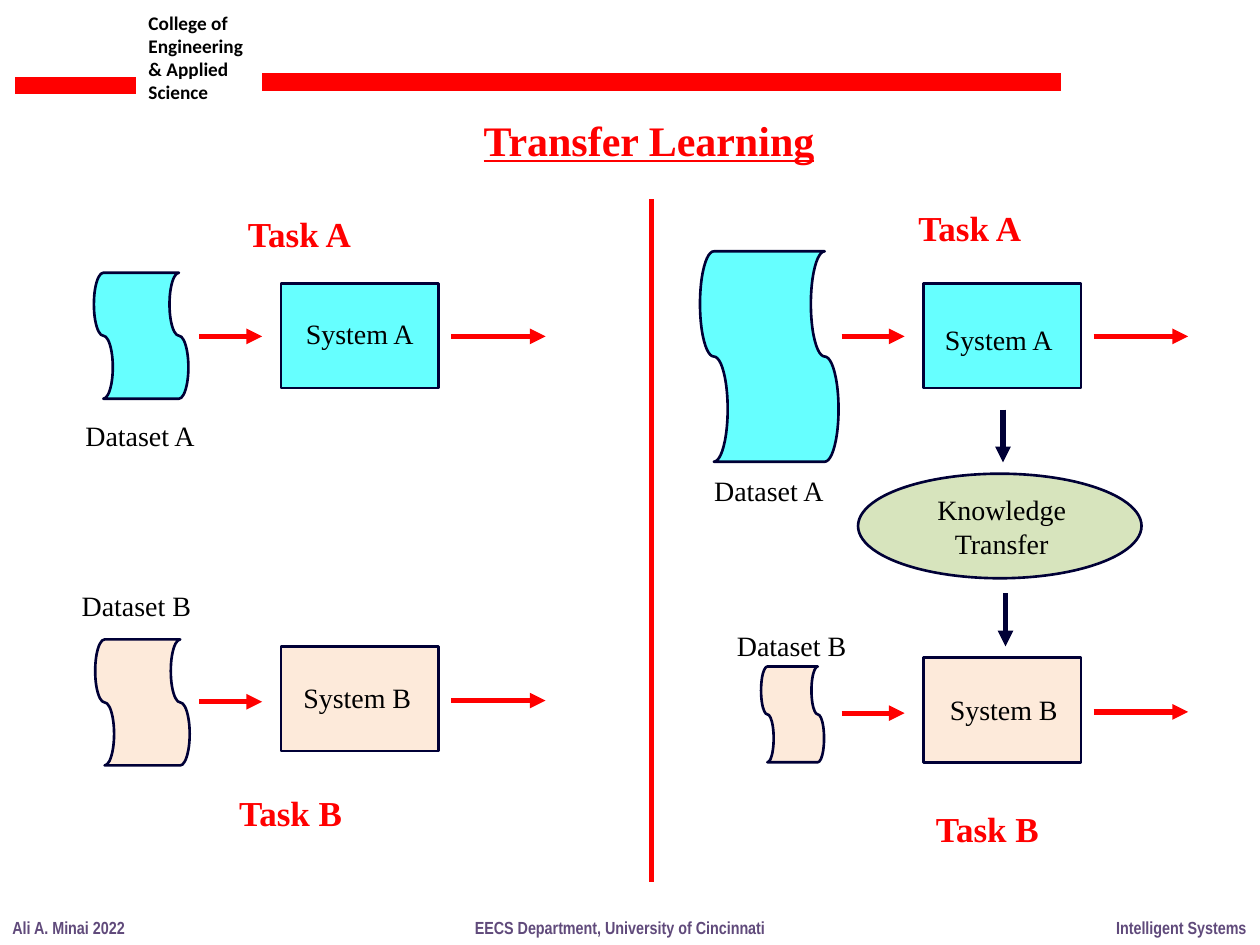
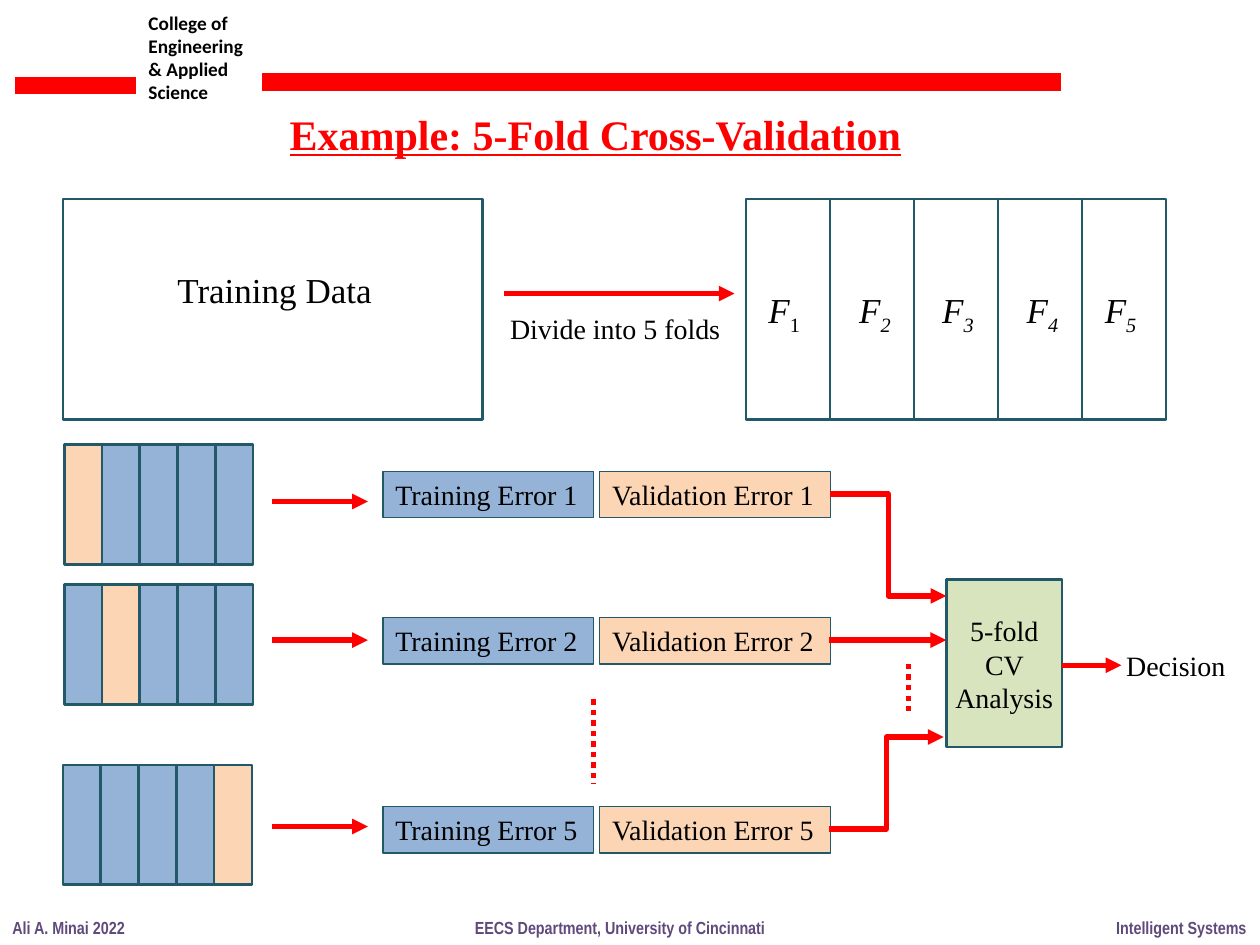
from lxml.etree import SubElement
from pptx import Presentation
from pptx.dml.color import RGBColor
from pptx.enum.dml import MSO_LINE
from pptx.enum.shapes import MSO_CONNECTOR as Link, MSO_SHAPE as Kind
from pptx.enum.text import MSO_ANCHOR as Anchor, MSO_AUTO_SIZE as Fit, PP_ALIGN as Align
from pptx.oxml.ns import qn
from pptx.util import Inches, Pt

RED = RGBColor(0xFF, 0x00, 0x00)
BLACK = RGBColor(0x00, 0x00, 0x00)
PURPLE = RGBColor(0x60, 0x4A, 0x7B)
NAVY = RGBColor(0x00, 0x00, 0x36)
TEAL = RGBColor(0x21, 0x59, 0x68)
CYAN = RGBColor(0x66, 0xFF, 0xFF)
CREAM = RGBColor(0xFD, 0xEA, 0xDA)
GREEN = RGBColor(0xD7, 0xE4, 0xBD)
BLUE = RGBColor(0x95, 0xB3, 0xD7)
PEACH = RGBColor(0xFC, 0xD5, 0xB5)

SERIF = "Times New Roman"
TITLE = (RED, {"name": SERIF, "size": Pt(24), "bold": True, "underline": True})
TASK = (RED, {"name": SERIF, "size": Pt(20), "bold": True})
LABEL = (BLACK, {"name": SERIF, "size": Pt(16)})
LARGE = (BLACK, {"name": SERIF, "size": Pt(20)})
FOLD = (BLACK, {"name": SERIF, "size": Pt(20), "italic": True})
COLLEGE = (BLACK, {"name": "Calibri", "size": Pt(11), "bold": True})
FOOTER = (PURPLE, {"name": "Arial Narrow", "size": Pt(10), "bold": True})


def add_block(shapes, box, text="", style=LABEL, kind=None, fill=None, outline=TEAL,
              weight=1.5, wrap=False, align=Align.LEFT):
    place = [Inches(value) for value in box]
    if kind is None:
        block = shapes.add_textbox(*place)
    else:
        block = shapes.add_shape(kind, *place)
        block.shadow.inherit = False
        block.line.color.rgb = outline
        block.line.width = Pt(weight)
        if fill is None:
            block.fill.background()
        else:
            block.fill.solid()
            block.fill.fore_color.rgb = fill
    if text:
        frame = block.text_frame
        frame.word_wrap = wrap
        frame.auto_size = Fit.SHAPE_TO_FIT_TEXT
        frame.vertical_anchor = Anchor.TOP
        frame.text = text
        color, font_values = style
        for paragraph in frame.paragraphs:
            paragraph.alignment = align
            for run in paragraph.runs:
                run.font.color.rgb = color
                for attribute, value in font_values.items():
                    setattr(run.font, attribute, value)
    return block


def add_line(shapes, start, end, color=RED, weight=3, route=Link.STRAIGHT,
             arrow=True, dash=None):
    line = shapes.add_connector(route, *[Inches(value) for value in start + end])
    line.line.color.rgb = color
    line.line.width = Pt(weight)
    if dash:
        line.line.dash_style = dash
    properties = line._element.spPr
    if arrow:
        SubElement(properties.find(qn("a:ln")), qn("a:tailEnd"), type="triangle")
    SubElement(properties, qn("a:effectLst"))


deck = Presentation()
deck.slide_width, deck.slide_height = Inches(10), Inches(7.5)

titles = [
    ("Transfer Learning", (3.74, 0.86, 2.85, 0.5)),
    ("Example: 5-Fold Cross-Validation", (2.2, 0.81, 5.1, 0.5)),
]
footers = [
    ("Ali A. Minai 2022", 0, 1.1),
    ("Intelligent Systems", 8.76, 1.24),
    ("EECS Department, University of Cincinnati", 3.67, 2.52),
]
pages = []
for title, title_box in titles:
    page = deck.slides.add_slide(deck.slide_layouts[6]).shapes
    add_block(page, (1.08, 0.04, 1.09, 0.84), "College of Engineering & Applied\nScience",
              COLLEGE, wrap=True)
    for left, right, y in [(0.12, 1.08, 0.68), (2.08, 8.42, 0.65)]:
        add_line(page, (left, y), (right, y), weight=10, arrow=False)
    for text, left, width in footers:
        add_block(page, (left, 7.23, width, 0.27), text, FOOTER)
    add_block(page, title_box, title, TITLE)
    pages.append(page)
transfer, validation = pages

add_line(transfer, (5.17, 1.58), (5.17, 7), arrow=False)
pipelines = [
    ("A", CYAN, (0.62, 2.29, 1, 0.75), (2.23, 2.25), (2.67, 2.67),
     (1.87, 1.64), (0.58, 3.27), (2.33, 2.46)),
    ("B", CREAM, (0.63, 5.2, 1, 0.75), (2.23, 5.13), (5.57, 5.56),
     (1.8, 6.23), (0.55, 4.62), (2.31, 5.35)),
    ("A", CYAN, (5.27, 2.28, 1.67, 1.1), (7.33, 2.25), (2.67, 2.67),
     (7.19, 1.59), (5.57, 3.71), (7.4, 2.51)),
    ("B", CREAM, (5.91, 5.42, 0.76, 0.5), (7.33, 5.22), (5.66, 5.65),
     (7.33, 6.36), (5.75, 4.94), (7.44, 5.45)),
]
for letter, color, tape, system, flow, task_at, dataset_at, system_at in pipelines:
    dataset = add_block(transfer, tape, kind=Kind.FLOWCHART_PUNCHED_TAPE,
                        fill=color, outline=NAVY)
    dataset.rotation = 90
    add_block(transfer, system + (1.25, 0.83), kind=Kind.RECTANGLE, fill=color, outline=NAVY)
    x = system[0]
    add_line(transfer, (x - 0.65, flow[0]), (x - 0.15, flow[0]))
    add_line(transfer, (x + 1.35, flow[1]), (x + 2.1, flow[1]))
    add_block(transfer, task_at + (1.03, 0.44), f"Task {letter}", TASK, wrap=True)
    add_block(transfer, dataset_at + (1.08, 0.37), f"Dataset {letter}", wrap=True)
    add_block(transfer, system_at + (1.07, 0.37), f"System {letter}", wrap=True)

add_block(transfer, (6.81, 3.76, 2.25, 0.83), kind=Kind.OVAL, fill=GREEN, outline=NAVY)
add_block(transfer, (7.33, 3.86, 1.24, 0.64), "Knowledge\nTransfer", wrap=True,
          align=Align.CENTER)
for x, top in [(7.96, 3.25), (7.98, 4.71)]:
    add_line(transfer, (x, top), (x, top + 0.42), NAVY)

add_block(validation, (0.5, 1.58, 3.33, 1.75), kind=Kind.RECTANGLE)
add_block(validation, (1.31, 2.08, 1.76, 0.44), "Training Data", LARGE)
add_line(validation, (4, 2.33), (5.83, 2.33))
add_block(validation, (3.95, 2.42, 1.93, 0.37), "Divide into 5 folds", wrap=True)

folds = validation.add_group_shape().shapes
fold_width = 2 / 3
for index in range(5):
    add_block(folds, (5.92 + index * fold_width, 1.58, fold_width, 1.75), kind=Kind.RECTANGLE)
for number, left in enumerate([6, 6.72, 7.38, 8.05, 8.67], 1):
    fold = add_block(folds, (left, 2.24, 0.47, 0.38), "F", FOLD)
    subscript = fold.text_frame.paragraphs[0].add_run()
    subscript.text = str(number)
    for attribute, value in FOLD[1].items():
        setattr(subscript.font, attribute, value)
    subscript.font.italic = number > 1
    subscript.font.color.rgb = BLACK
    subscript._r.get_or_add_rPr().set("baseline", "-25000")

rounds = [
    (1, 0.51, 3.53, 3.98, 3.74),
    (2, 0.51, 4.64, 5.08, 4.9),
    (5, 0.5, 6.07, 6.56, 6.4),
]
for number, left, top, arrow_y, error_top in rounds:
    strip = validation.add_group_shape().shapes
    for index in range(5):
        add_block(strip, (left + index * 0.3, top, 0.3, 0.95), kind=Kind.RECTANGLE,
                  fill=PEACH if index + 1 == number else BLUE)
    add_line(validation, (2.16, arrow_y), (2.92, arrow_y))
    for name, x, width, color in [("Training", 3.04, 1.67, BLUE),
                                  ("Validation", 4.76, 1.83, PEACH)]:
        add_block(validation, (x, error_top, width, 0.37), f"{name} Error {number}",
                  kind=Kind.RECTANGLE, fill=color, weight=0.75)

add_block(validation, (7.51, 4.6, 0.92, 1.33), kind=Kind.RECTANGLE, fill=GREEN)
add_block(validation, (7.44, 4.82, 1.06, 0.91), "5-fold CV Analysis", wrap=True,
          align=Align.CENTER)
add_line(validation, (6.59, 3.92), (7.51, 4.73), route=Link.ELBOW)
add_line(validation, (6.58, 6.58), (7.49, 5.85), route=Link.ELBOW)
add_line(validation, (6.58, 5.08), (7.51, 5.08))
add_line(validation, (8.43, 5.28), (8.9, 5.28))
for x, top, bottom in [(7.21, 5.27, 5.64), (4.71, 5.55, 6.22)]:
    add_line(validation, (x, top), (x, bottom), arrow=False, dash=MSO_LINE.ROUND_DOT)
add_block(validation, (8.84, 5.1, 1, 0.37), "Decision")

deck.save("out.pptx")
